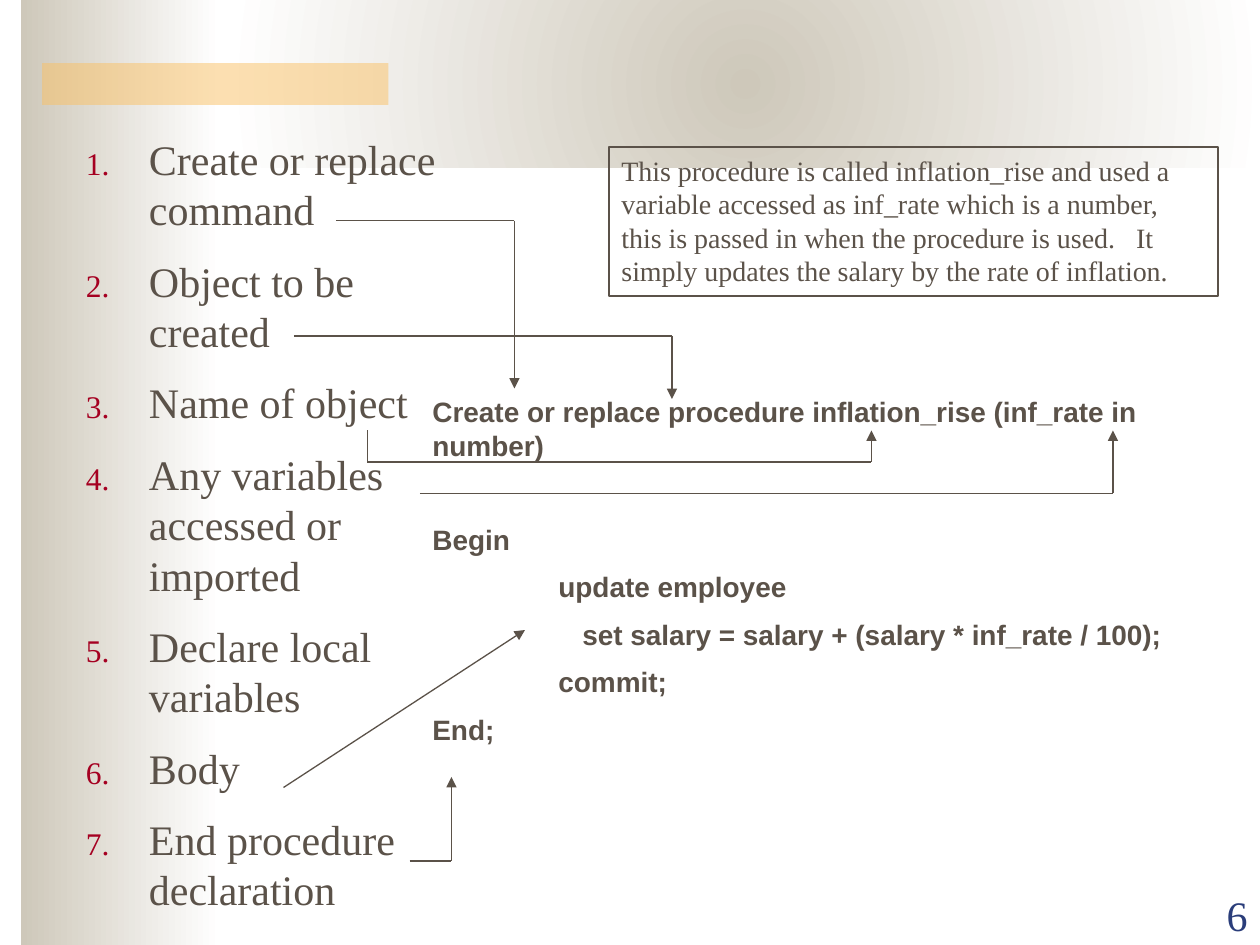
from itertools import pairwise

from lxml import etree
from pptx import Presentation
from pptx.dml.color import RGBColor
from pptx.enum.shapes import MSO_CONNECTOR, MSO_SHAPE
from pptx.enum.text import MSO_ANCHOR, PP_ALIGN
from pptx.oxml.ns import qn
from pptx.util import Inches, Pt

RECTANGLE = MSO_SHAPE.RECTANGLE
STRAIGHT = MSO_CONNECTOR.STRAIGHT
TOP, BOTTOM = MSO_ANCHOR.TOP, MSO_ANCHOR.BOTTOM
LEFT, RIGHT = PP_ALIGN.LEFT, PP_ALIGN.RIGHT

SAND = RGBColor(0xCE, 0xC8, 0xBA)
WHITE = RGBColor(0xFF, 0xFF, 0xFF)
AMBER = RGBColor(0xFA, 0xC1, 0x64)
BROWN = RGBColor(0x5B, 0x52, 0x49)
NAVY = RGBColor(0x2A, 0x3D, 0x7A)
CRIMSON = RGBColor(0xA5, 0x00, 0x21)

SERIF, SANS = "Times New Roman", "Arial"
COLUMNS, ROWS = 120, 90
CELL = Inches(10) / COLUMNS

PARTS = [
    "Create or replace command",
    "Object to be created",
    "Name of object",
    "Any variables accessed or imported",
    "Declare local variables",
    "Body",
    "End procedure declaration",
]
CODE = [
    ("Create or replace procedure inflation_rise (inf_rate in number)", 0, 0),
    ("Begin", 0, 34.5),
    ("update employee", 1, 8),
    ("set salary = salary + (salary * inf_rate / 100);", 1.19, 8),
    ("commit;", 1, 8),
    ("End;", 0, 8),
]
SUMMARY = (
    "This procedure is called inflation_rise and used a variable accessed as "
    "inf_rate which is a number, this is passed in when the procedure is used.   "
    "It simply updates the salary by the rate of inflation."
)
ROUTES = [
    [(32, 21), (49, 21), (49, 37)],
    [(28, 32), (64, 32), (64, 38)],
    [(35, 41), (35, 44), (83, 44), (83, 41)],
    [(40, 47), (106, 47), (106, 41)],
    [(27, 75), (50, 60)],
    [(39, 82), (43, 82), (43, 74)],
]


def grid(*cells):
    """Turn counts of grid cells into lengths."""
    return [round(cell * CELL) for cell in cells]


def add_panel(page, *cells):
    """Add a rectangle without line or shadow."""
    panel = page.shapes.add_shape(RECTANGLE, *grid(*cells))
    panel.shadow.inherit = False
    panel.line.fill.background()
    return panel


def fade_to_white(panel, radial=False):
    """Fill a panel with sand that fades to white."""
    panel.fill.gradient()
    panel.fill.gradient_angle = 0
    for stop, color, position in zip(panel.fill.gradient_stops, (SAND, WHITE), (0, 1)):
        stop.color.rgb = color
        stop.position = position
    if radial:
        linear = panel._element.spPr.find(".//" + qn("a:lin"))
        circle = etree.Element(qn("a:path"), {"path": "circle"})
        etree.SubElement(circle, qn("a:fillToRect"), dict.fromkeys("ltrb", "50000"))
        linear.getparent().replace(linear, circle)


def add_backdrop(page):
    """Add the two faded panels and the translucent title bar."""
    fade_to_white(add_panel(page, 2, 0, 19, ROWS))
    fade_to_white(add_panel(page, 22, 0, 98, 16), radial=True)
    bar = add_panel(page, 4, 6, 33, 4)
    bar.fill.solid()
    bar.fill.fore_color.rgb = AMBER
    color = bar._element.spPr.find(".//" + qn("a:srgbClr"))
    etree.SubElement(color, qn("a:alpha"), val="50000")


def add_text_box(page, *cells, anchor=TOP):
    """Add a wrapping text box and return its text frame."""
    frame = page.shapes.add_textbox(*grid(*cells)).text_frame
    frame.word_wrap = True
    frame.vertical_anchor = anchor
    return frame


def write(frame, text, size, font=SERIF, color=BROWN, bold=False, before=0, align=LEFT):
    """Write one paragraph, using the first one while it is empty."""
    para = frame.paragraphs[0]
    if para.runs:
        para = frame.add_paragraph()
    para.alignment = align
    para.space_before = Pt(before)
    span = para.add_run()
    span.text = text
    span.font.size = Pt(size)
    span.font.name = font
    span.font.bold = bold
    span.font.color.rgb = color
    return para


def indent(para, margin, first=0):
    """Set the left margin and first-line indent in inches."""
    properties = para._p.get_or_add_pPr()
    properties.set("marL", str(Inches(margin)))
    properties.set("indent", str(Inches(first)))
    return properties


def number(para):
    """Give a paragraph a small crimson number with a hanging indent."""
    properties = indent(para, 0.5, -0.5)
    color = etree.SubElement(properties, qn("a:buClr"))
    etree.SubElement(color, qn("a:srgbClr"), val=str(CRIMSON))
    etree.SubElement(properties, qn("a:buSzPct"), val="75000")
    etree.SubElement(properties, qn("a:buFont"), typeface=SERIF)
    etree.SubElement(properties, qn("a:buAutoNum"), type="arabicPeriod")


def add_route(page, points):
    """Join points with straight lines, the last one ending in an arrowhead."""
    for start, end in pairwise(points):
        line = page.shapes.add_connector(STRAIGHT, *grid(*start, *end))
        line.line.color.rgb = BROWN
        line.line.width = Pt(0.75)
        etree.SubElement(line._element.spPr, qn("a:effectLst"))
    etree.SubElement(line.line._get_or_add_ln(), qn("a:tailEnd"), type="triangle")


def add_summary(page):
    """Add the outlined box that explains the procedure."""
    box = add_panel(page, 58, 14, 58, 14.2)
    box.fill.background()
    box.line.color.rgb = BROWN
    box.line.width = Pt(0.75)
    box.text_frame.word_wrap = True
    box.text_frame.vertical_anchor = TOP
    write(box.text_frame, SUMMARY, 16)


def main():
    """Build the slide and save the deck."""
    deck = Presentation()
    deck.slide_width, deck.slide_height = grid(COLUMNS, ROWS)
    page = deck.slides.add_slide(deck.slide_layouts[6])
    add_backdrop(page)
    page_number = add_text_box(page, 108, 84.1, 12, 6, anchor=BOTTOM)
    write(page_number, "6", 24, color=NAVY, align=RIGHT)
    part_list = add_text_box(page, 7, 12.1, 40, 77.9)
    for index, part in enumerate(PARTS):
        number(write(part_list, part, 24, before=12 if index else 0))
    listing = add_text_box(page, 40, 37, 80, 36.5)
    for text, margin, before in CODE:
        indent(write(listing, text, 16, SANS, bold=True, before=before), margin)
    for points in ROUTES:
        add_route(page, points)
    add_summary(page)
    deck.save("out.pptx")


if __name__ == "__main__":
    main()
